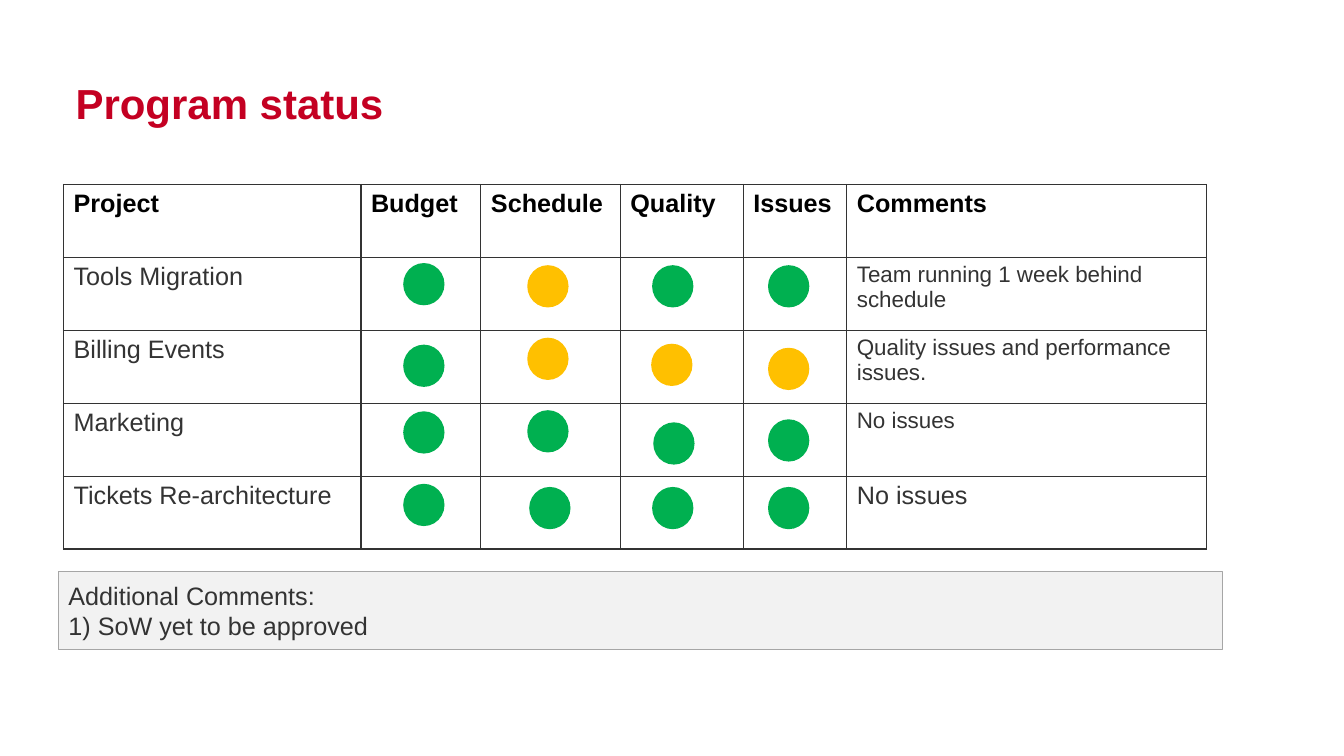
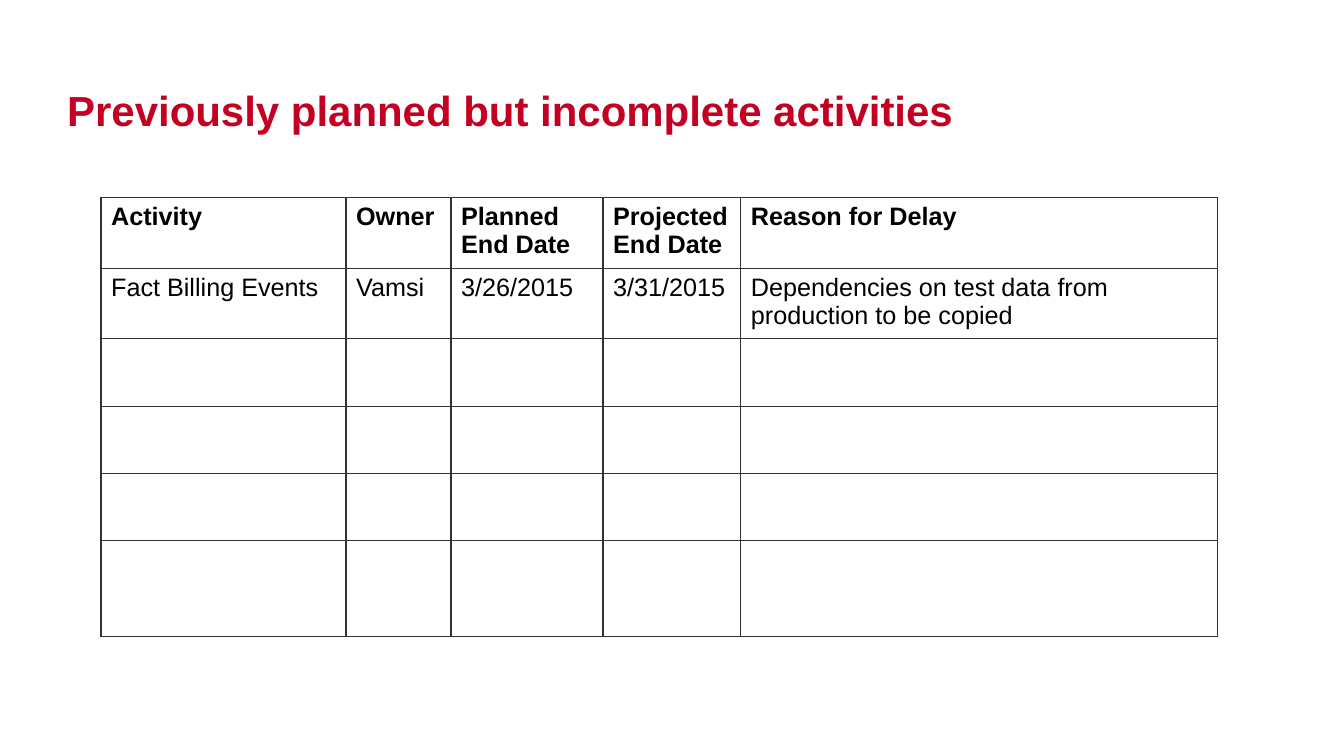
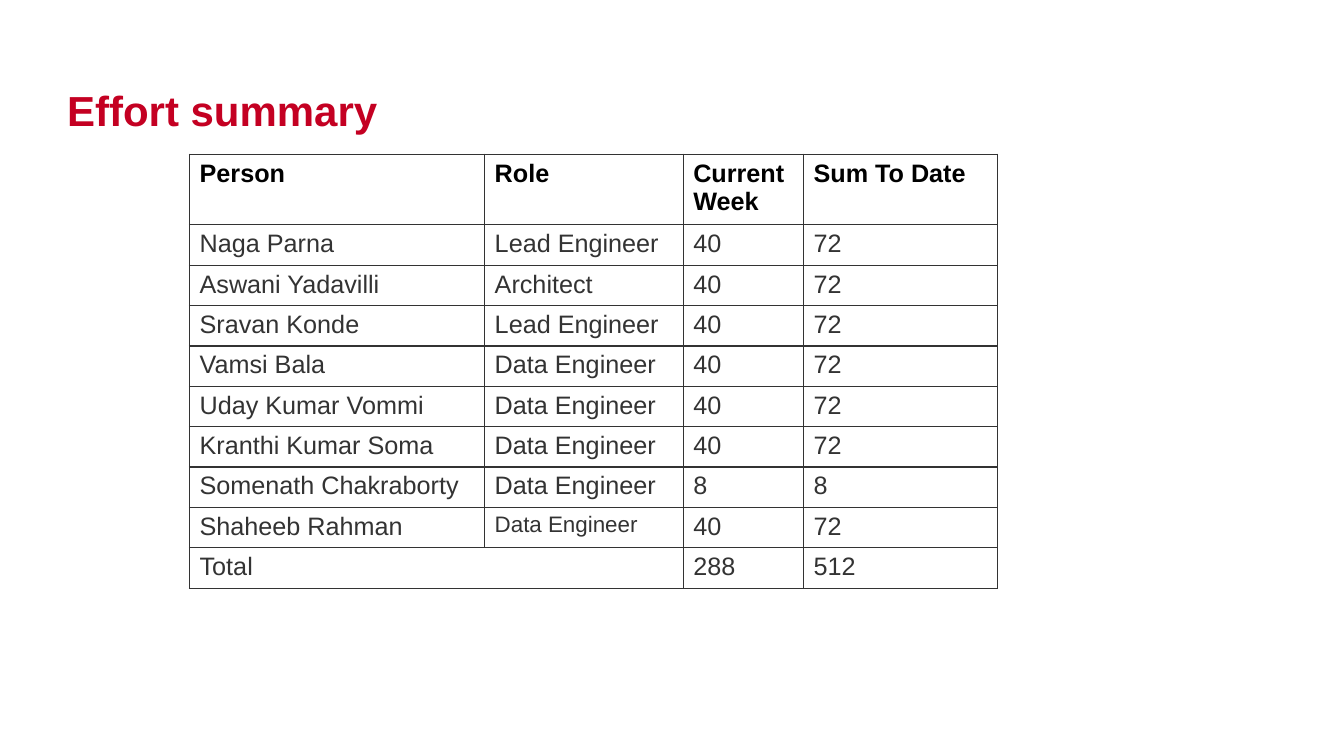
from lxml.etree import SubElement
from pptx import Presentation
from pptx.dml.color import RGBColor
from pptx.enum.shapes import MSO_SHAPE as Shape
from pptx.enum.text import MSO_ANCHOR as Anchor, PP_ALIGN as Align
from pptx.oxml.ns import qn
from pptx.util import Pt

COLORS = {
    "title": "C40022",
    "header": "000000",
    "body": "333333",
    "border": "333333",
    "green": "00B050",
    "amber": "FFC000",
    "panel": "F2F2F2",
    "panel_line": "A6A6A6",
}
FONT = "Arial"


def write(frame, text, color, size=18, bold=False, spacing=None):
    for number, line in enumerate(text.split("\n")):
        paragraph = frame.add_paragraph() if number else frame.paragraphs[0]
        paragraph.alignment = Align.LEFT
        if spacing:
            paragraph.line_spacing = spacing
        run = paragraph.add_run()
        run.text = line
        run.font.name = FONT
        run.font.size = Pt(size)
        run.font.bold = bold
        run.font.color.rgb = RGBColor.from_string(COLORS[color])


def add_grid(slide, left, top, widths, heights, rows, body_color="body", small=()):
    grid = slide.shapes.add_table(
        len(heights), len(widths), Pt(left), Pt(top), Pt(sum(widths)), Pt(sum(heights))
    ).table
    grid.first_row = False
    grid.horz_banding = False
    for column, width in zip(grid.columns, widths):
        column.width = Pt(width)
    for row, height in zip(grid.rows, heights):
        row.height = Pt(height)
    for cell in grid.iter_cells():
        properties = cell._tc.get_or_add_tcPr()
        for side in ("a:lnL", "a:lnR", "a:lnT", "a:lnB"):
            border = SubElement(properties, qn(side), w=str(Pt(1)))
            paint = SubElement(border, qn("a:solidFill"))
            SubElement(paint, qn("a:srgbClr"), val=COLORS["border"])
        cell.fill.background()
    for r, row in enumerate(rows):
        for c, text in enumerate(row):
            if text:
                write(
                    grid.cell(r, c).text_frame,
                    text,
                    body_color if r else "header",
                    size=16 if (r, c) in small else 18,
                    bold=r == 0,
                )
    return grid


deck = Presentation()
deck.slide_width, deck.slide_height = Pt(960), Pt(540)

slides = []
for title, left, top, width, height in [
    ("Program status", 54, 13, 798, 79.2),
    ("Previously planned but incomplete activities", 48, 34.6, 864, 62.6),
    ("Effort summary", 48, 34.6, 864, 62.6),
]:
    slide = deck.slides.add_slide(deck.slide_layouts[6])
    heading = slide.shapes.add_textbox(Pt(left), Pt(top), Pt(width), Pt(height)).text_frame
    heading.word_wrap = True
    heading.vertical_anchor = Anchor.BOTTOM
    heading.margin_left = heading.margin_right = heading.margin_top = heading.margin_bottom = 0
    write(heading, title, "title", size=30, bold=True, spacing=0.9)
    slides.append(slide)
status, delays, effort = slides

add_grid(
    status, 45.4, 131.8, [212.4, 85.7, 99.6, 87.8, 74, 257], [52.1] * 5,
    [
        ["Project", "Budget", "Schedule", "Quality", "Issues", "Comments"],
        ["Tools Migration", "", "", "", "", "Team running 1 week behind schedule"],
        ["Billing Events", "", "", "", "", "Quality issues and performance issues."],
        ["Marketing", "", "", "", "", "No issues"],
        ["Tickets Re-architecture", "", "", "", "", "No issues"],
    ],
    small=[(1, 5), (2, 5), (3, 5)],
)

ratings = {
    "Budget": [(288, 187.9, "green"), (288, 246.2, "green"),
               (288, 293.8, "green"), (288, 345.6, "green")],
    "Schedule": [(376.6, 189.4, "amber"), (376.6, 241.2, "amber"),
                 (376.6, 293, "green"), (378, 347.8, "green")],
    "Quality": [(465.8, 189.4, "green"), (465.1, 245.5, "amber"),
                (466.6, 301.7, "green"), (465.8, 347.8, "green")],
    "Issues": [(548.6, 189.4, "green"), (548.6, 248.4, "amber"),
               (548.6, 299.5, "green"), (548.6, 347.8, "green")],
}
for lights in ratings.values():
    for left, top, rating in lights:
        light = status.shapes.add_shape(Shape.OVAL, Pt(left), Pt(top), Pt(29.5), Pt(30.2))
        light.shadow.inherit = False
        light.fill.solid()
        light.fill.fore_color.rgb = RGBColor.from_string(COLORS[rating])
        light.line.fill.background()

comments = status.shapes.add_shape(Shape.RECTANGLE, Pt(41.8), Pt(408.2), Pt(831), Pt(55.4))
comments.shadow.inherit = False
comments.fill.solid()
comments.fill.fore_color.rgb = RGBColor.from_string(COLORS["panel"])
comments.line.color.rgb = RGBColor.from_string(COLORS["panel_line"])
comments.line.width = Pt(0.25)
comments.text_frame.word_wrap = True
comments.text_frame.vertical_anchor = Anchor.MIDDLE
write(comments.text_frame, "Additional Comments:\n1) SoW yet to be approved", "body")

add_grid(
    delays, 72.2, 141.2, [175, 75, 108.6, 98.4, 340.6], [48.1] * 5 + [68.4],
    [
        ["Activity", "Owner", "Planned\nEnd Date", "Projected\nEnd Date", "Reason for Delay"],
        ["Fact Billing Events", "Vamsi", "3/26/2015", "3/31/2015",
         "Dependencies on test data from production to be copied"],
    ],
    body_color="header",
)

team = [
    ("Naga Parna", "Lead Engineer", 40, 72),
    ("Aswani Yadavilli", "Architect", 40, 72),
    ("Sravan Konde", "Lead Engineer", 40, 72),
    ("Vamsi Bala", "Data Engineer", 40, 72),
    ("Uday Kumar Vommi", "Data Engineer", 40, 72),
    ("Kranthi Kumar Soma", "Data Engineer", 40, 72),
    ("Somenath Chakraborty", "Data Engineer", 8, 8),
    ("Shaheeb Rahman", "Data Engineer", 40, 72),
]
hours = [["Person", "Role", "Current Week", "Sum To Date"]]
hours += [[person, role, str(week), str(total)] for person, role, week, total in team]
hours.append(["Total", "", str(sum(row[2] for row in team)), str(sum(row[3] for row in team))])
effort_grid = add_grid(
    effort, 135.4, 110.2, [210.8, 141.8, 86, 138.6], [47.2] + [27.4] * 9, hours, small=[(8, 1)]
)
effort_grid.cell(9, 0).merge(effort_grid.cell(9, 1))

deck.save("out.pptx")
